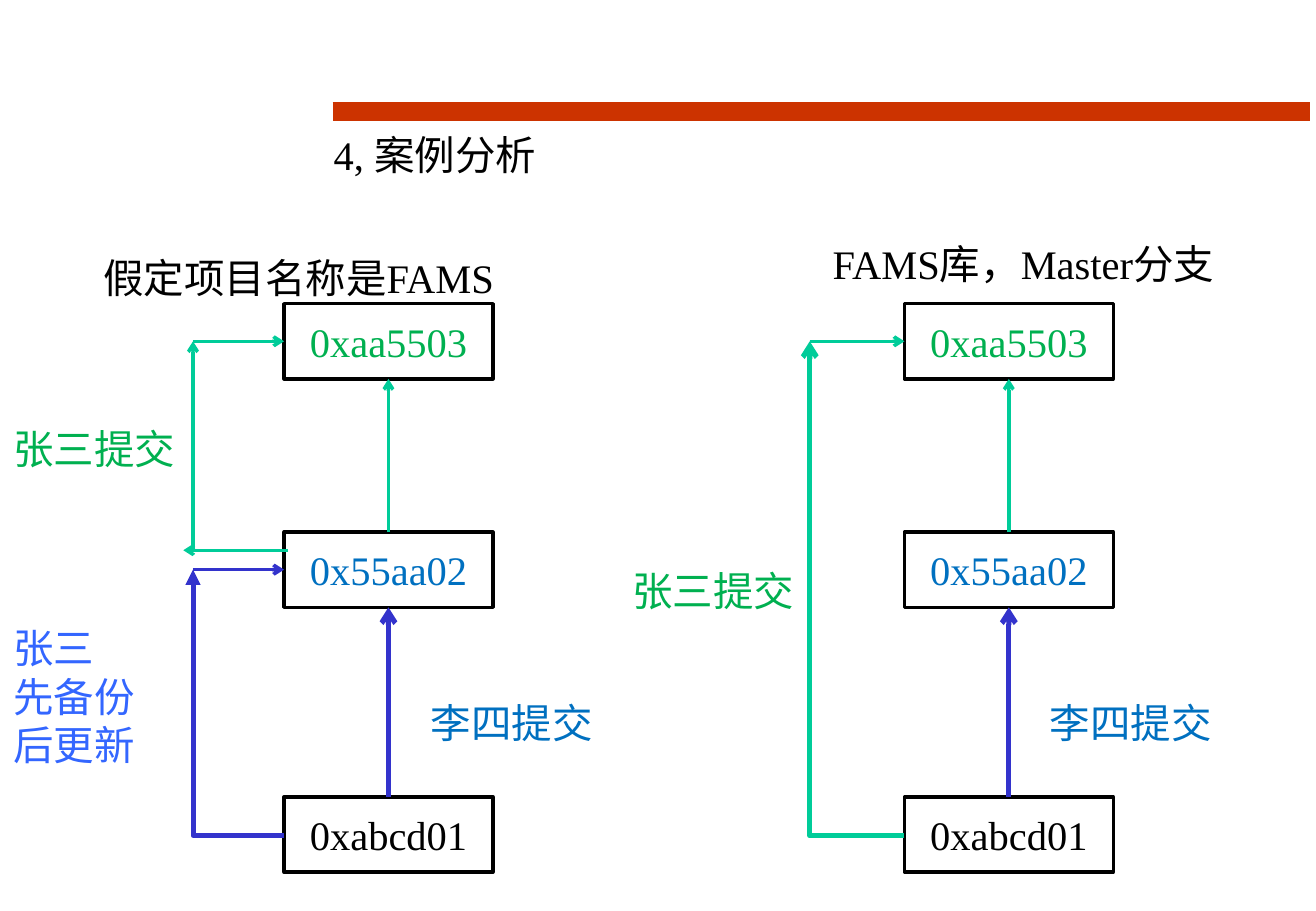
from pptx import Presentation
from pptx.dml.color import RGBColor
from pptx.enum.shapes import MSO_CONNECTOR, MSO_SHAPE
from pptx.enum.text import MSO_ANCHOR, MSO_AUTO_SIZE, PP_ALIGN
from pptx.oxml.ns import qn
from pptx.util import Inches, Pt
from lxml.etree import SubElement

BLACK = RGBColor(0x00, 0x00, 0x00)
WHITE = RGBColor(0xFF, 0xFF, 0xFF)
RED = RGBColor(0xCC, 0x33, 0x00)
GREEN = RGBColor(0x00, 0xB0, 0x50)
BLUE = RGBColor(0x00, 0x70, 0xC0)
LIGHT_BLUE = RGBColor(0x33, 0x66, 0xFF)
TEAL = RGBColor(0x00, 0xCC, 0x99)
INDIGO = RGBColor(0x33, 0x33, 0xCC)

# Commits shared by both histories: hash, top, colour
COMMITS = [
    ("0xaa5503", 2.5, GREEN),
    ("0x55aa02", 4.38, BLUE),
    ("0xabcd01", 6.56, BLACK),
]
BOX_WIDTH, BOX_HEIGHT = 1.72, 0.62
# Arrows from each commit up to the one above it: colour, line width
STEPS = [(TEAL, 2), (INDIGO, 3)]
HISTORY_LEFTS = [2.34, 7.45]
LOCAL_LEFT, MASTER_LEFT = HISTORY_LEFTS
LOCAL_LANE, MASTER_LANE = 1.59, 6.67
TOP_ENTRY, MIDDLE_EXIT, MIDDLE_ENTRY, BOTTOM_EXIT = 2.81, 4.53, 4.69, 6.88

# Text, left, top, width, height, colour, alignment
LABELS = [
    ("4, 案例分析", 2.65, 1.02, 1.94, 0.5, BLACK, PP_ALIGN.LEFT),
    ("假定项目名称是FAMS", 0.7, 2.03, 3.52, 0.5, BLACK, PP_ALIGN.CENTER),
    ("FAMS库，Master分支", 6.63, 1.92, 3.6, 0.5, BLACK, PP_ALIGN.CENTER),
    ("张三提交", 0.01, 3.44, 1.53, 0.5, GREEN, PP_ALIGN.CENTER),
    ("张三提交", 5.11, 4.61, 1.53, 0.5, GREEN, PP_ALIGN.CENTER),
    ("李四提交", 3.45, 5.7, 1.53, 0.5, BLUE, PP_ALIGN.CENTER),
    ("李四提交", 8.55, 5.7, 1.53, 0.5, BLUE, PP_ALIGN.CENTER),
    ("张三\n先备份\n后更新", 0.01, 5.08, 1.2, 1.3, LIGHT_BLUE, PP_ALIGN.LEFT),
]

# Start, end, colour, line width
SIDE_ARROWS = [
    ((LOCAL_LANE, TOP_ENTRY), (LOCAL_LEFT, TOP_ENTRY), TEAL, 2),
    ((MASTER_LANE, TOP_ENTRY), (MASTER_LEFT, TOP_ENTRY), TEAL, 2),
    ((LOCAL_LANE, MIDDLE_ENTRY), (LOCAL_LEFT, MIDDLE_ENTRY), INDIGO, 2),
    ((LOCAL_LANE, MIDDLE_EXIT), (LOCAL_LANE, TOP_ENTRY), TEAL, 2),
    ((2.37, MIDDLE_EXIT), (1.51, MIDDLE_EXIT), TEAL, 2),
]
# Lane, lane top, box left, colour, arrowhead
BENDS = [
    (LOCAL_LANE, MIDDLE_ENTRY, LOCAL_LEFT, INDIGO, "triangle"),
    (MASTER_LANE, TOP_ENTRY, MASTER_LEFT, TEAL, "arrow"),
]


def write(shape, text, color, align):
    frame = shape.text_frame
    frame.text = text
    frame.word_wrap = False
    for paragraph in frame.paragraphs:
        paragraph.alignment = align
        font_format = {"name": "Times New Roman", "size": Pt(24)}
        for attribute, value in font_format.items():
            setattr(paragraph.runs[0].font, attribute, value)
        paragraph.runs[0].font.color.rgb = color


def add_label(slide, text, left, top, width, height, color, align):
    label = slide.shapes.add_textbox(*map(Inches, (left, top, width, height)))
    write(label, text, color, align)
    label.text_frame.auto_size = MSO_AUTO_SIZE.SHAPE_TO_FIT_TEXT


def add_commit(slide, commit, left, top, color):
    box = slide.shapes.add_shape(
        MSO_SHAPE.RECTANGLE, *map(Inches, (left, top, BOX_WIDTH, BOX_HEIGHT)))
    box.shadow.inherit = False
    box.fill.solid()
    box.fill.fore_color.rgb = WHITE
    box.line.color.rgb = BLACK
    box.line.width = Pt(2)
    write(box, commit, color, PP_ALIGN.CENTER)
    box.text_frame.vertical_anchor = MSO_ANCHOR.MIDDLE


def add_line(slide, start, end, color, width, head=None, kind=MSO_CONNECTOR.STRAIGHT):
    line = slide.shapes.add_connector(kind, *map(Inches, (*start, *end)))
    line.line.color.rgb = color
    line.line.width = Pt(width)
    if head:
        SubElement(line.line._get_or_add_ln(), qn("a:tailEnd"), type=head)
    SubElement(line._element.spPr, qn("a:effectLst"))
    return line


def add_bend(slide, lane, top, box_left, color, head):
    """Run left from the bottom commit to the lane, then up to its top."""
    bend = add_line(slide, (lane, top), (box_left, BOTTOM_EXIT), color, 3,
                    head, MSO_CONNECTOR.ELBOW)
    properties = bend._element.spPr
    properties.find(qn("a:prstGeom")).set("prst", "bentConnector2")
    properties.find(qn("a:xfrm")).set("rot", "10800000")


def main():
    presentation = Presentation()
    presentation.slide_width = Inches(10.84)
    presentation.slide_height = Inches(7.5)
    slide = presentation.slides.add_slide(presentation.slide_layouts[6])

    add_line(slide, (2.74, 0.92), (10.79, 0.92), RED, 11.5)
    for left in HISTORY_LEFTS:
        for commit, top, color in COMMITS:
            add_commit(slide, commit, left, top, color)
        center = left + BOX_WIDTH / 2
        for upper, lower, (color, width) in zip(COMMITS, COMMITS[1:], STEPS):
            add_line(slide, (center, lower[1]), (center, upper[1] + BOX_HEIGHT),
                     color, width, "arrow")
    for label in LABELS:
        add_label(slide, *label)
    for bend in BENDS:
        add_bend(slide, *bend)
    for arrow in SIDE_ARROWS:
        add_line(slide, *arrow, "arrow")

    presentation.save("out.pptx")


if __name__ == "__main__":
    main()
